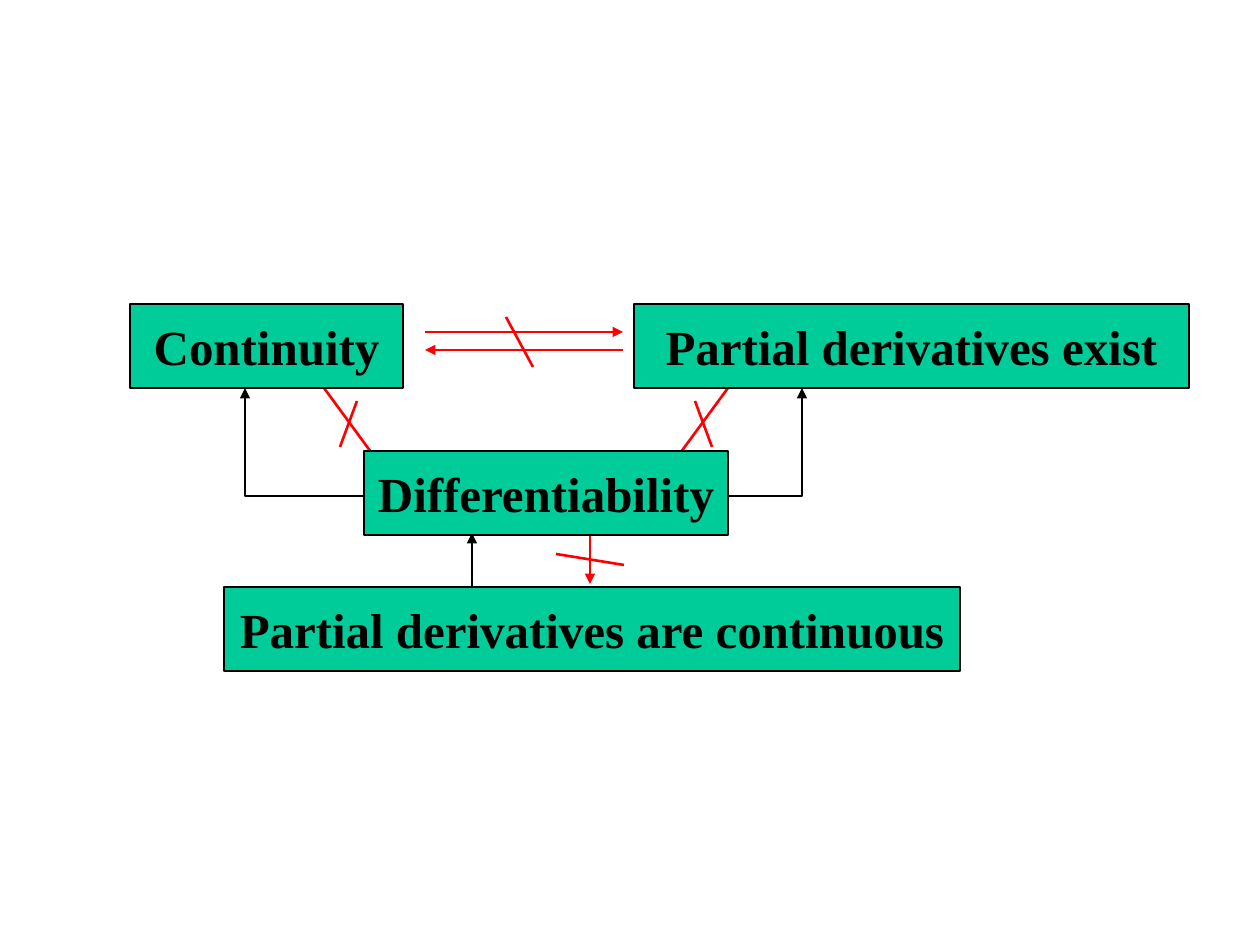
from lxml.etree import SubElement
from pptx import Presentation
from pptx.dml.color import RGBColor
from pptx.enum.shapes import MSO_CONNECTOR, MSO_SHAPE
from pptx.enum.text import MSO_ANCHOR, PP_ALIGN
from pptx.oxml.ns import qn
from pptx.util import Pt

BLACK = RGBColor(0x00, 0x00, 0x00)
RED = RGBColor(0xFF, 0x00, 0x00)
GREEN = RGBColor(0x00, 0xCC, 0x99)
EMU_PER_PX = 914400 / 126
BOX_HEIGHT = 84
FONT_FORMAT = {"name": "Times New Roman", "size": Pt(28), "bold": True}
FRAME_FORMAT = {"word_wrap": False, "vertical_anchor": MSO_ANCHOR.MIDDLE}


def emu(*lengths):
    return [round(length * EMU_PER_PX) for length in lengths]


class Diagram:
    def __init__(self, slide):
        self.slide = slide

    def outline(self, shape, color, width, arrow=False):
        shape.line.color.rgb = color
        shape.line.width = Pt(width)
        if arrow:
            ln = shape.element.spPr.find(qn("a:ln"))
            SubElement(ln, qn("a:tailEnd"), type="triangle")

    def box(self, text, left, top, width):
        concept = self.slide.shapes.add_shape(
            MSO_SHAPE.RECTANGLE, *emu(left, top, width, BOX_HEIGHT))
        concept.shadow.inherit = False
        concept.fill.solid()
        concept.fill.fore_color.rgb = GREEN
        self.outline(concept, BLACK, 1.5)
        frame = concept.text_frame
        for name, value in FRAME_FORMAT.items():
            setattr(frame, name, value)
        label = frame.paragraphs[0]
        label.alignment = PP_ALIGN.CENTER
        run = label.add_run()
        run.text = text
        for name, value in FONT_FORMAT.items():
            setattr(run.font, name, value)
        run.font.color.rgb = BLACK

    def line(self, start, end, color=RED, arrow=False):
        connector = self.slide.shapes.add_connector(
            MSO_CONNECTOR.STRAIGHT, *emu(*start, *end))
        self.outline(connector, color, 1.5, arrow)
        SubElement(connector.element.spPr, qn("a:effectLst"))

    def bent_arrow(self, start, corner, end):
        builder = self.slide.shapes.build_freeform(*emu(*start))
        builder.add_line_segments([emu(*corner), emu(*end)], close=False)
        implication = builder.convert_to_shape()
        implication.shadow.inherit = False
        implication.fill.background()
        self.outline(implication, BLACK, 0.75, arrow=True)


def main():
    presentation = Presentation()
    presentation.slide_width, presentation.slide_height = emu(1260, 945)
    diagram = Diagram(presentation.slides.add_slide(presentation.slide_layouts[6]))

    arrows = [
        ((324, 388), (382, 467)),
        ((728, 388), (670, 467)),
        ((425, 332), (623, 332)),
        ((623, 350), (425, 350)),
        ((590, 535), (590, 584)),
    ]
    strikes = [
        ((357, 401), (340, 447)),
        ((695, 401), (712, 447)),
        ((506, 317), (533, 367)),
        ((556, 554), (624, 565)),
    ]
    for start, end in arrows:
        diagram.line(start, end, arrow=True)
    for start, end in strikes:
        diagram.line(start, end)
    diagram.line((472, 587), (472, 533), BLACK, arrow=True)

    concepts = [
        ("Partial derivatives exist", 634, 304, 555),
        ("Differentiability", 364, 451, 364),
        ("Partial derivatives are continuous", 224, 587, 736),
        ("Continuity", 130, 304, 273),
    ]
    for concept in concepts:
        diagram.box(*concept)

    for side, turn in [(728, 802), (364, 245)]:
        diagram.bent_arrow((side, 496), (turn, 496), (turn, 388))

    presentation.save("out.pptx")


if __name__ == "__main__":
    main()
